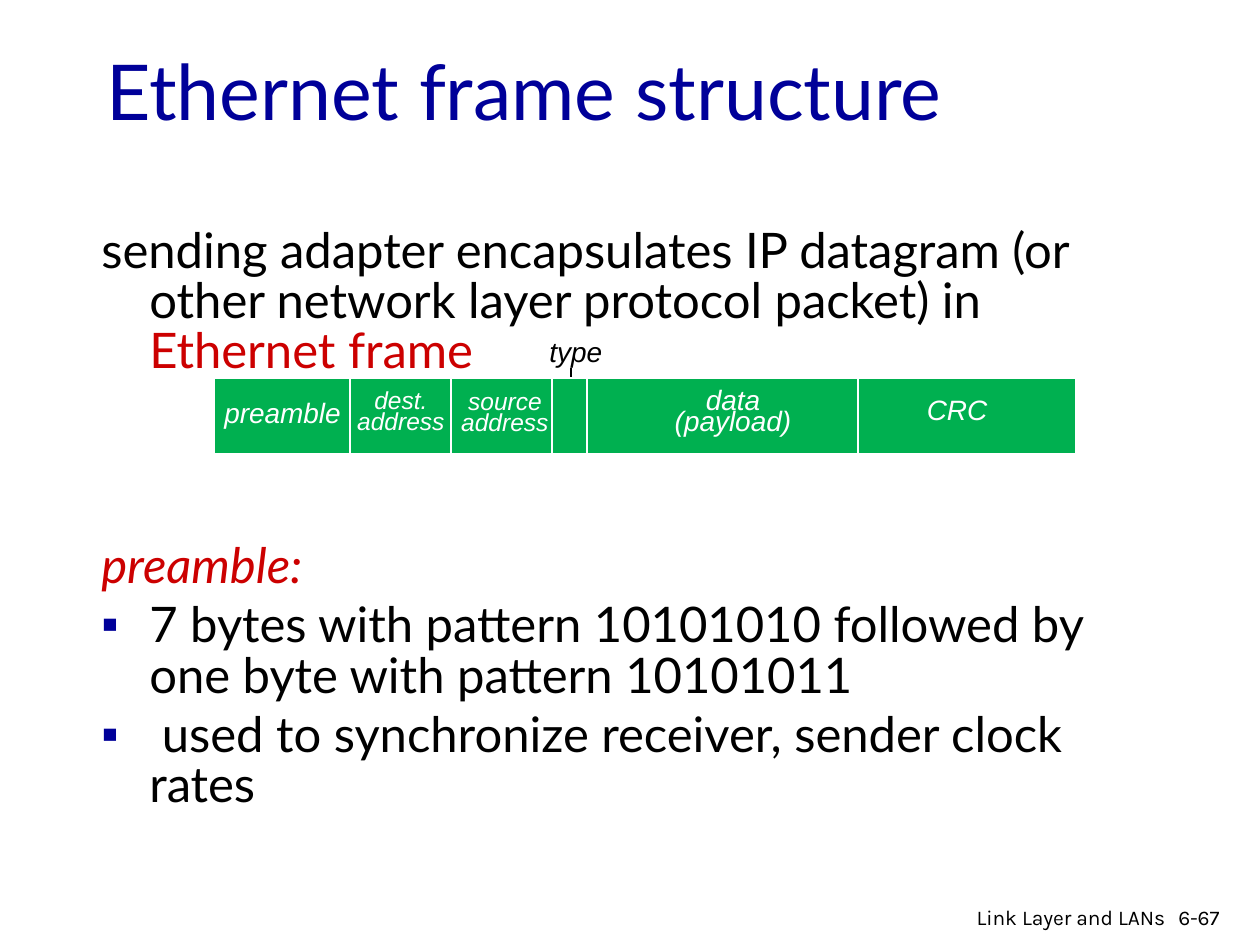
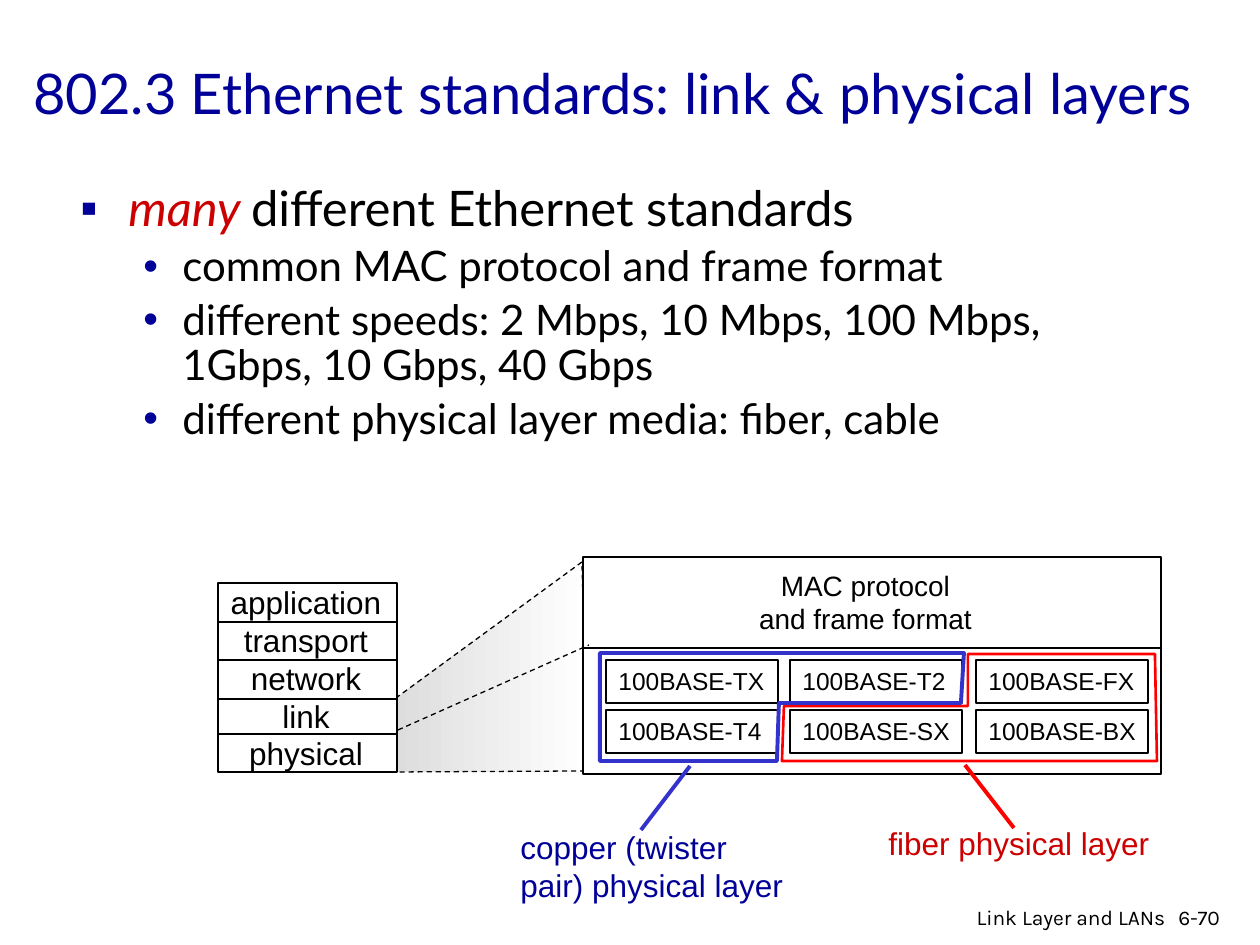
from dataclasses import dataclass

from lxml.etree import SubElement
from pptx import Presentation
from pptx.dml.color import RGBColor
from pptx.enum.dml import MSO_LINE
from pptx.enum.shapes import MSO_CONNECTOR, MSO_SHAPE
from pptx.enum.text import MSO_ANCHOR as ANCHOR, PP_ALIGN as ALIGN
from pptx.oxml.ns import qn
from pptx.util import Emu, Pt

PX = 914400 / 126
BLACK = RGBColor(0x00, 0x00, 0x00)
WHITE = RGBColor(0xFF, 0xFF, 0xFF)
NAVY = RGBColor(0x00, 0x00, 0x99)
CRIMSON = RGBColor(0xCC, 0x00, 0x00)
RED = RGBColor(0xFF, 0x00, 0x00)
BLUE = RGBColor(0x33, 0x33, 0xCC)
GREEN = RGBColor(0x00, 0xB0, 0x50)
GREY = RGBColor(0xDD, 0xDD, 0xDD)
HEAD, LABEL, FOOT = "Lato", "Arial", "Karla"


@dataclass
class Para:
    """Runs are (text, colour, italic); left and hang are the indents."""
    runs: list
    size: int = 28
    bullet: str = ""
    left: int = 48
    hang: int = 48


def sub_point(words):
    return Para([(words, BLACK, False)], size=24, bullet="•", left=102, hang=39)


FOOTER = "Link Layer and LANs"

# Slide 1: frame structure
INTRO = [Para([("sending adapter encapsulates IP datagram (or other network layer "
                "protocol packet) in ", BLACK, False),
               ("Ethernet frame", CRIMSON, False)])]
PREAMBLE = [
    Para([("preamble:", CRIMSON, True)]),
    Para([("7 bytes with pattern 10101010 followed by one byte with pattern "
           "10101011", BLACK, False)], bullet="▪"),
    Para([(" used to synchronize receiver, sender clock rates", BLACK, False)],
         bullet="▪"),
]
FRAME = (214, 378, 862, 76)
FIELD_EDGES = [350, 451, 552, 587, 858]
FIELDS = [  # box, lines, text size
    ((343, 387, 116, 57), ["dest.", "address"], 14),
    ((447, 388, 116, 57), ["source", "address"], 14),
    ((638, 389, 190, 57), ["data (payload)"], 16),
    ((898, 399, 118, 37), ["CRC"], 16),
    ((209, 402, 147, 37), ["preamble"], 16),
]

# Slide 2: standards
STANDARDS = [
    Para([("many ", CRIMSON, True), ("different Ethernet standards", BLACK, False)],
         bullet="▪"),
    sub_point("common MAC protocol and frame format"),
    sub_point("different speeds: 2 Mbps, 10 Mbps, 100 Mbps, 1Gbps, 10 Gbps, 40 Gbps"),
    sub_point("different physical layer media: fiber, cable"),
]
LAYERS = ["application", "transport", "network", "link", "physical"]
STACK = (218, 583, 179, 189)
LAYER_EDGES = [622, 660, 699, 734]
ZOOM = [(582, 562), (396, 698), (397, 772), (588, 771)]
MAC_BOX = (583, 557, 578, 217)
MEDIA = [["100BASE-TX", "100BASE-T2", "100BASE-FX"],
         ["100BASE-T4", "100BASE-SX", "100BASE-BX"]]
MEDIA_X, MEDIA_Y, MEDIA_SIZE = (606, 790, 976), (660, 710), (172, 43)
GROUPS = [  # outline, outline width, line colour, pointer, label box, lines, text colour
    ([(968, 654), (968, 706), (784, 706), (782, 761), (1157, 761), (1155, 654)], 1.5,
     RED, (965, 765, 1014, 828), (876, 818, 289, 50), ["fiber physical layer"], CRIMSON),
    ([(964, 653), (961, 703), (779, 703), (777, 761), (600, 761), (600, 653)], 2.25,
     BLUE, (690, 766, 641, 830), (508, 822, 291, 89),
     ["copper (twister", "pair) physical layer"], NAVY),
]


def px(*values):
    return [Emu(round(v * PX)) for v in values]


def add_bullet(p, char):
    pPr = p._p.get_or_add_pPr()
    clr = SubElement(pPr, qn("a:buClr"))
    SubElement(clr, qn("a:srgbClr")).set("val", str(NAVY))
    SubElement(pPr, qn("a:buFont")).set("typeface", LABEL)
    SubElement(pPr, qn("a:buChar")).set("char", char)


def write(tf, paras, size=16, font=LABEL, color=BLACK, italic=False, align=ALIGN.LEFT,
          anchor=ANCHOR.TOP, wrap=True, spacing=None):
    """Fill a text frame with plain strings or Para objects."""
    tf.word_wrap, tf.vertical_anchor = wrap, anchor
    for i, para in enumerate(paras):
        p = tf.add_paragraph() if i else tf.paragraphs[0]
        p.alignment = align
        if spacing:
            p.line_spacing = spacing
        runs, run_size = [(para, color, italic)], size
        if isinstance(para, Para):
            runs, run_size = para.runs, para.size
            p.space_before = Pt(run_size * 0.2)
            pPr = p._p.get_or_add_pPr()
            pPr.set("marL", str(px(para.left)[0]))
            pPr.set("indent", str(px(-para.hang)[0]))
            if para.bullet:
                add_bullet(p, para.bullet)
        for words, run_color, run_italic in runs:
            r = p.add_run()
            r.text = words
            f = r.font
            f.name, f.size, f.italic = font, Pt(run_size), run_italic
            f.color.rgb = run_color


def text(slide, box, paras, **fmt):
    write(slide.shapes.add_textbox(*px(*box)).text_frame, paras, **fmt)


def style(sp, fill=None, color=BLACK, width=0.75):
    sp.shadow.inherit = False
    if fill is None:
        sp.fill.background()
    else:
        sp.fill.solid()
        sp.fill.fore_color.rgb = fill
    sp.line.color.rgb, sp.line.width = color, Pt(width)
    return sp


def rect(slide, box, **fmt):
    return style(slide.shapes.add_shape(MSO_SHAPE.RECTANGLE, *px(*box)), **fmt)


def polygon(slide, points, **fmt):
    builder = slide.shapes.build_freeform(*points[0], scale=PX)
    builder.add_line_segments(points[1:], close=True)
    return style(builder.convert_to_shape(), **fmt)


def line(slide, x1, y1, x2, y2, color=BLACK, width=0.75, dashed=False):
    c = slide.shapes.add_connector(MSO_CONNECTOR.STRAIGHT, *px(x1, y1, x2, y2))
    c.line.color.rgb, c.line.width = color, Pt(width)
    if dashed:
        c.line.dash_style = MSO_LINE.DASH
    SubElement(c._element.spPr, qn("a:effectLst"))


def new_slide(prs, title, title_box, title_size, number):
    slide = prs.slides.add_slide(prs.slide_layouts[6])
    text(slide, title_box, [title], size=title_size, font=HEAD, color=NAVY,
         anchor=ANCHOR.MIDDLE)
    text(slide, (1166, 898, 76, 38), [number], size=12, font=FOOT)
    text(slide, (878, 898, 300, 33), [FOOTER], size=12, font=FOOT, align=ALIGN.RIGHT)
    return slide


def frame_slide(prs):
    s = new_slide(prs, "Ethernet frame structure", (94, 48, 1071, 84), 44, "6-67")
    text(s, (89, 222, 1071, 160), INTRO, font=HEAD, spacing=0.85)
    text(s, (89, 537, 1071, 283), PREAMBLE, font=HEAD, spacing=0.85)
    line(s, 571, 368, 571, 396)
    rect(s, FRAME, fill=GREEN, color=WHITE)
    top, height = FRAME[1], FRAME[3]
    for x in FIELD_EDGES:
        line(s, x, top, x, top + height, color=WHITE, width=1.5)
    for box, lines, size in FIELDS:
        text(s, box, lines, size=size, color=WHITE, italic=True, align=ALIGN.CENTER,
             spacing=Pt(12))
    text(s, (537, 328, 106, 47), ["type"], italic=True)


def standards_slide(prs):
    s = new_slide(prs, "802.3 Ethernet standards: link & physical layers",
                  (21, 13, 1201, 158), 32, "6-70")
    text(s, (68, 178, 1071, 290), STANDARDS, font=HEAD, spacing=0.9)

    zoom = polygon(s, ZOOM)
    zoom.line.dash_style = MSO_LINE.DASH
    zoom.fill.gradient()
    zoom.fill.gradient_angle = 0
    for stop, color in zip(zoom.fill.gradient_stops, (GREY, WHITE)):
        stop.color.rgb = color

    rect(s, STACK, fill=WHITE)
    text(s, (218, 577, 176, 202), LAYERS, size=18, align=ALIGN.CENTER, wrap=False)
    left, right = STACK[0], STACK[0] + STACK[2]
    for y in LAYER_EDGES:
        line(s, left, y, right, y)
    for x in (left, right):
        line(s, x, 744, x, 768, dashed=True)

    rect(s, MAC_BOX, fill=WHITE)
    line(s, 584, 648, 1160, 648)
    text(s, (746, 562, 239, 81), ["MAC protocol", "and frame format"],
         align=ALIGN.CENTER, wrap=False)
    line(s, 398, 730, 589, 645, dashed=True)
    for y, row in zip(MEDIA_Y, MEDIA):
        for x, name in zip(MEDIA_X, row):
            write(rect(s, (x, y, *MEDIA_SIZE)).text_frame, [name], size=14, wrap=False)

    for outline, width, color, pointer, box, label, label_color in GROUPS:
        polygon(s, outline, color=color, width=width)
        line(s, *pointer, color=color, width=2.25)
        text(s, box, label, size=18, color=label_color, wrap=False)


def main():
    prs = Presentation()
    prs.slide_width, prs.slide_height = px(1260, 945)
    frame_slide(prs)
    standards_slide(prs)
    prs.save("out.pptx")


if __name__ == "__main__":
    main()
